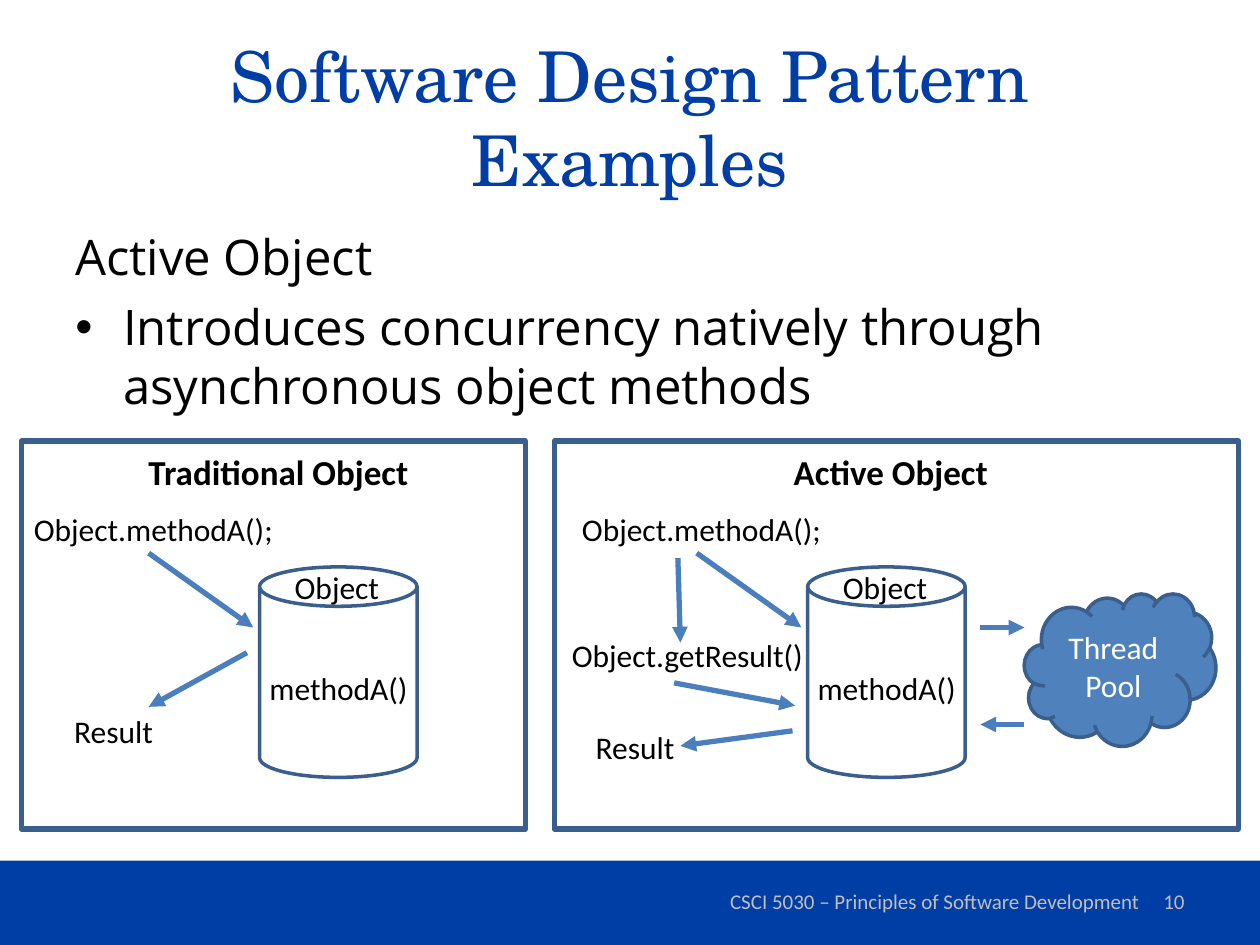
from dataclasses import dataclass

from lxml.etree import SubElement
from pptx import Presentation
from pptx.dml.color import RGBColor as Color
from pptx.enum.shapes import MSO_CONNECTOR as Connector, MSO_SHAPE as Shape
from pptx.enum.text import MSO_ANCHOR as Anchor, MSO_AUTO_SIZE as AutoSize, PP_ALIGN as Align
from pptx.oxml.ns import qn
from pptx.util import Inches, Pt


@dataclass(frozen=True)
class Theme:
    """Colours, fonts, type sizes and line weights of the slide."""
    brand: str = "003DA5"
    ink: str = "000000"
    paper: str = "FFFFFF"
    muted: str = "BFBFBF"
    outline: str = "3A5F8C"
    arrow: str = "4B7EBC"
    cloud: str = "4F81BD"
    title_font: str = "TeX Gyre Schola"
    body_font: str = "Open Sans"
    label_font: str = "Calibri"
    title: int = 40
    body: int = 28
    heading: int = 20
    label: int = 18
    footer: int = 12
    thin: int = 2
    thick: int = 3


THEME = Theme()
WIDTH, HEIGHT = Inches(10), Inches(7.5)
COLUMNS, ROWS = 10, 7.5
PANEL_STEP = 4.35


def across(columns):
    """Return a horizontal length given in grid columns."""
    return round(WIDTH * columns / COLUMNS)


def down(rows):
    """Return a vertical length given in grid rows."""
    return round(HEIGHT * rows / ROWS)


def place(left, top, width, height):
    """Turn a grid rectangle into slide lengths."""
    return across(left), down(top), across(width), down(height)


def style(para, font, size, color, align=Align.LEFT, bold=False):
    """Set the font and alignment of a whole paragraph."""
    para.alignment = align
    para.font.name, para.font.size, para.font.bold = font, Pt(size), bold
    para.font.color.rgb = Color.from_string(color)


def add_text(slide, area, text, font, size, color, align=Align.LEFT,
             anchor=Anchor.TOP, bold=False):
    """Add a wrapping text box with one paragraph per line of text."""
    box = slide.shapes.add_textbox(*place(*area))
    frame = box.text_frame
    frame.word_wrap, frame.vertical_anchor = True, anchor
    frame.text = text
    for para in frame.paragraphs:
        style(para, font, size, color, align, bold)
    return frame


def add_label(slide, left, top, width, text):
    """Add a diagram label that grows with its text."""
    frame = add_text(slide, (left, top, width, 0.4), text,
                     THEME.label_font, THEME.label, THEME.ink)
    frame.word_wrap, frame.auto_size = False, AutoSize.SHAPE_TO_FIT_TEXT


def add_figure(slide, kind, area, fill=None, weight=None):
    """Add a preset shape with an optional fill and outline."""
    shape = slide.shapes.add_shape(kind, *place(*area))
    shape.shadow.inherit = False
    if fill:
        shape.fill.solid()
        shape.fill.fore_color.rgb = Color.from_string(fill)
    else:
        shape.fill.background()
    if weight:
        shape.line.color.rgb = Color.from_string(THEME.outline)
        shape.line.width = Pt(weight)
    else:
        shape.line.fill.background()
    return shape


def add_arrow(slide, start, end):
    """Add a straight arrow between two grid points."""
    arrow = slide.shapes.add_connector(
        Connector.STRAIGHT, across(start[0]), down(start[1]), across(end[0]), down(end[1]))
    arrow.line.color.rgb = Color.from_string(THEME.arrow)
    arrow.line.width = Pt(THEME.thick)
    SubElement(arrow.line._get_or_add_ln(), qn("a:tailEnd"), type="triangle")
    SubElement(arrow._element.spPr, qn("a:effectLst"))


def add_bullet(para, indent):
    """Give a paragraph a hanging round bullet."""
    properties = para._p.get_or_add_pPr()
    properties.set("marL", str(across(indent)))
    properties.set("indent", str(-across(indent)))
    SubElement(properties, qn("a:buFont"), typeface="Arial")
    SubElement(properties, qn("a:buChar"), char="•")


def add_body(slide):
    """Add the topic line and its bullet."""
    frame = add_text(
        slide, (0.5, 1.75, 9, 4.95),
        "Active Object\nIntroduces concurrency natively through asynchronous object methods",
        THEME.body_font, THEME.body, THEME.ink)
    for para in frame.paragraphs:
        para.space_before = Pt(6.5)
    add_bullet(frame.paragraphs[1], 0.38)


def add_footer(slide):
    """Add the coloured band with course name and slide number."""
    add_figure(slide, Shape.RECTANGLE, (0, 6.83, 10, 0.67), THEME.brand)
    for left, width, text, align in (
            (5.67, 3.5, "CSCI 5030 – Principles of Software Development", Align.CENTER),
            (7.17, 2.33, "10", Align.RIGHT)):
        add_text(slide, (left, 6.95, width, 0.4), text, THEME.label_font,
                 THEME.footer, THEME.muted, align, Anchor.MIDDLE)


def add_panel(slide, left, width, heading, heading_left):
    """Add a framed panel with its heading."""
    add_figure(slide, Shape.RECTANGLE, (left, 3.5, width, 3.08), weight=THEME.thick)
    add_text(slide, (heading_left, 3.53, 2.28, 0.44), heading, THEME.label_font,
             THEME.heading, THEME.ink, bold=True)


def add_object_call(slide, shift):
    """Add the object cylinder and the call that reaches it."""
    add_figure(slide, Shape.CAN, (2.06 + shift, 4.5, 1.25, 1.67), weight=THEME.thin)
    for left, top, width, text in ((2.24, 4.46, 0.88, "Object"),
                                   (2.04, 5.26, 1.31, "methodA()"),
                                   (0.17, 4, 2.12, "Object.methodA();")):
        add_label(slide, left + shift, top, width, text)
    add_arrow(slide, (1.18 + shift, 4.39), (2.01 + shift, 4.98))


def add_traditional(slide):
    """Draw the traditional object diagram."""
    add_panel(slide, 0.17, 4, "Traditional Object", 1.08)
    add_object_call(slide, 0)
    add_label(slide, 0.49, 5.6, 0.83, "Result")
    add_arrow(slide, (1.96, 5.18), (1.18, 5.61))


def add_active(slide):
    """Draw the active object diagram with its thread pool."""
    add_panel(slide, 4.4, 5.43, "Active Object", 6.2)
    add_object_call(slide, PANEL_STEP)
    add_label(slide, 4.44, 5, 2.06, "Object.getResult()")
    add_label(slide, 4.63, 5.73, 0.83, "Result")
    for start, end in (((5.38, 4.43), (5.4, 5.1)), ((5.35, 5.42), (6.31, 5.6)),
                       ((6.29, 5.8), (5.4, 5.92)), ((7.78, 4.98), (8.13, 4.98)),
                       ((8.13, 5.75), (7.78, 5.75))):
        add_arrow(slide, start, end)
    cloud = add_figure(slide, Shape.CLOUD, (8.13, 4.71, 1.52, 1.21), THEME.cloud, THEME.thin)
    cloud.text_frame.text = "Thread Pool"
    cloud.text_frame.vertical_anchor = Anchor.MIDDLE
    style(cloud.text_frame.paragraphs[0], THEME.label_font, THEME.label,
          THEME.paper, Align.CENTER)


def main():
    """Build the slide and save it."""
    deck = Presentation()
    deck.slide_width, deck.slide_height = WIDTH, HEIGHT
    slide = deck.slides.add_slide(deck.slide_layouts[6])
    add_footer(slide)
    add_text(slide, (0.5, 0.3, 9, 1.25), "Software Design Pattern Examples",
             THEME.title_font, THEME.title, THEME.brand, Align.CENTER, Anchor.MIDDLE)
    add_body(slide)
    add_traditional(slide)
    add_active(slide)
    deck.save("out.pptx")


if __name__ == "__main__":
    main()
